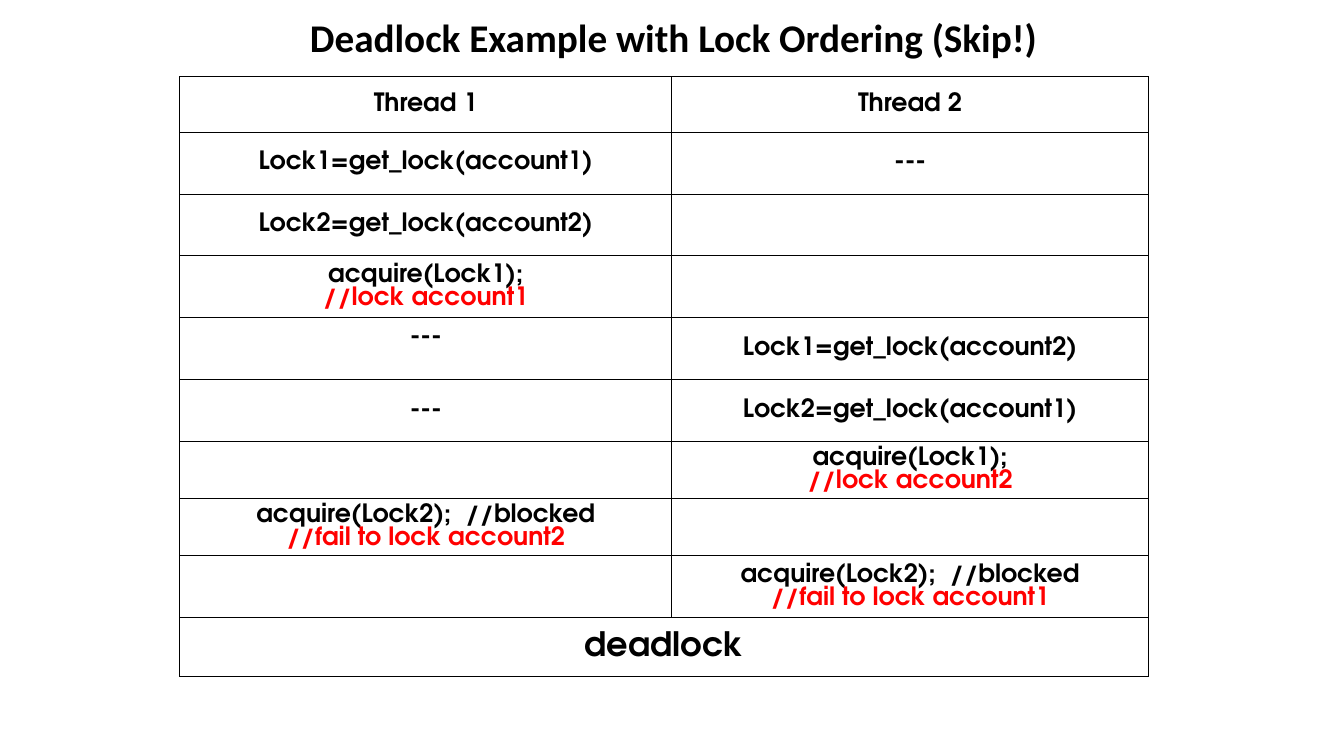
from dataclasses import dataclass

from lxml import etree
from pptx import Presentation
from pptx import util as u
from pptx.dml.color import RGBColor
from pptx.enum import text as t
from pptx.oxml import ns


@dataclass(frozen=True)
class Theme:
    head: str = "Calibri"
    body: str = "TeX Gyre Adventor"
    ink: str = "000000"
    note: str = "FF0000"
    big: int = 28
    mid: int = 24
    base: int = 18
    rule: float = 0.75
    lead: float = 0.92


THEME = Theme()
COLS = [12.4, 12.01]
ROWS = [1.4] + [1.56] * 5 + [1.44] * 2 + [1.56, 1.47]
STEPS = [
    ("Thread 1", "Thread 2"),
    ("Lock1=get_lock(account1)", "---"),
    ("Lock2=get_lock(account2)", ""),
    ("acquire(Lock1);\n//lock account1", ""),
    ("---", "Lock1=get_lock(account2)"),
    ("---", "Lock2=get_lock(account1)"),
    ("", "acquire(Lock1);\n//lock account2"),
    ("acquire(Lock2);  //blocked\n//fail to lock account2", ""),
    ("", "acquire(Lock2);  //blocked\n//fail to lock account1"),
    ("deadlock", ""),
]
HIGH = (4, 0)  # the one step set at the top of its cell


def write(frame, words, font=THEME.body, size=THEME.base, lead=None):
    """Write one centred bold paragraph a line; comment lines are red."""
    for i, line in enumerate(words.split("\n")):
        para = frame.add_paragraph() if i else frame.paragraphs[0]
        para.alignment = t.PP_ALIGN.CENTER
        if lead:
            para.line_spacing = u.Pt(size * lead)
        run = para.add_run()
        run.text = line
        run.font.name = font
        run.font.size = u.Pt(size)
        run.font.bold = True
        tint = THEME.note if line.startswith("//") else THEME.ink
        run.font.color.rgb = RGBColor.from_string(tint)


def frame_cell(cell):
    """Rule all four sides of a cell and leave it unfilled."""
    props = cell._tc.get_or_add_tcPr()
    for side in ("lnL", "lnR", "lnT", "lnB"):
        line = etree.SubElement(props, ns.qn(f"a:{side}"),
                                w=str(u.Pt(THEME.rule)))
        fill = etree.SubElement(line, ns.qn("a:solidFill"))
        etree.SubElement(fill, ns.qn("a:srgbClr"), val=THEME.ink)
    cell.fill.background()


def add_title(slide, words, left, top, width, height):
    title = slide.shapes.title
    title.left, title.top = u.Cm(left), u.Cm(top)
    title.width, title.height = u.Cm(width), u.Cm(height)
    frame = title.text_frame
    frame.auto_size = t.MSO_AUTO_SIZE.NONE
    frame.vertical_anchor = t.MSO_ANCHOR.MIDDLE
    write(frame, words, font=THEME.head, size=THEME.big)


def add_steps(slide, left, top):
    shape = slide.shapes.add_table(
        len(ROWS), len(COLS), u.Cm(left), u.Cm(top),
        u.Cm(sum(COLS)), u.Cm(sum(ROWS)))
    table = shape.table
    table.first_row = table.horz_banding = False
    for col, width in zip(table.columns, COLS):
        col.width = u.Cm(width)
    for row, height in zip(table.rows, ROWS):
        row.height = u.Cm(height)
    last = len(ROWS) - 1
    table.cell(last, 0).merge(table.cell(last, len(COLS) - 1))
    for r, step in enumerate(STEPS):
        for c, words in enumerate(step):
            cell = table.cell(r, c)
            frame_cell(cell)
            cell.vertical_anchor = (t.MSO_ANCHOR.TOP if (r, c) == HIGH
                                    else t.MSO_ANCHOR.MIDDLE)
            if (r, c) == HIGH:
                cell.margin_top = u.Cm(0.2)
            if words:
                size = THEME.mid if r == last else THEME.base
                write(cell.text_frame, words, size=size, lead=THEME.lead)


def main():
    deck = Presentation()
    deck.slide_width, deck.slide_height = u.Cm(33.87), u.Cm(19.05)
    slide = deck.slides.add_slide(deck.slide_layouts[5])
    add_title(slide, "Deadlock Example with Lock Ordering (Skip!)",
              5.54, 0.33, 22.86, 1.2)
    add_steps(slide, 4.53, 1.93)
    deck.save("out.pptx")


if __name__ == "__main__":
    main()
